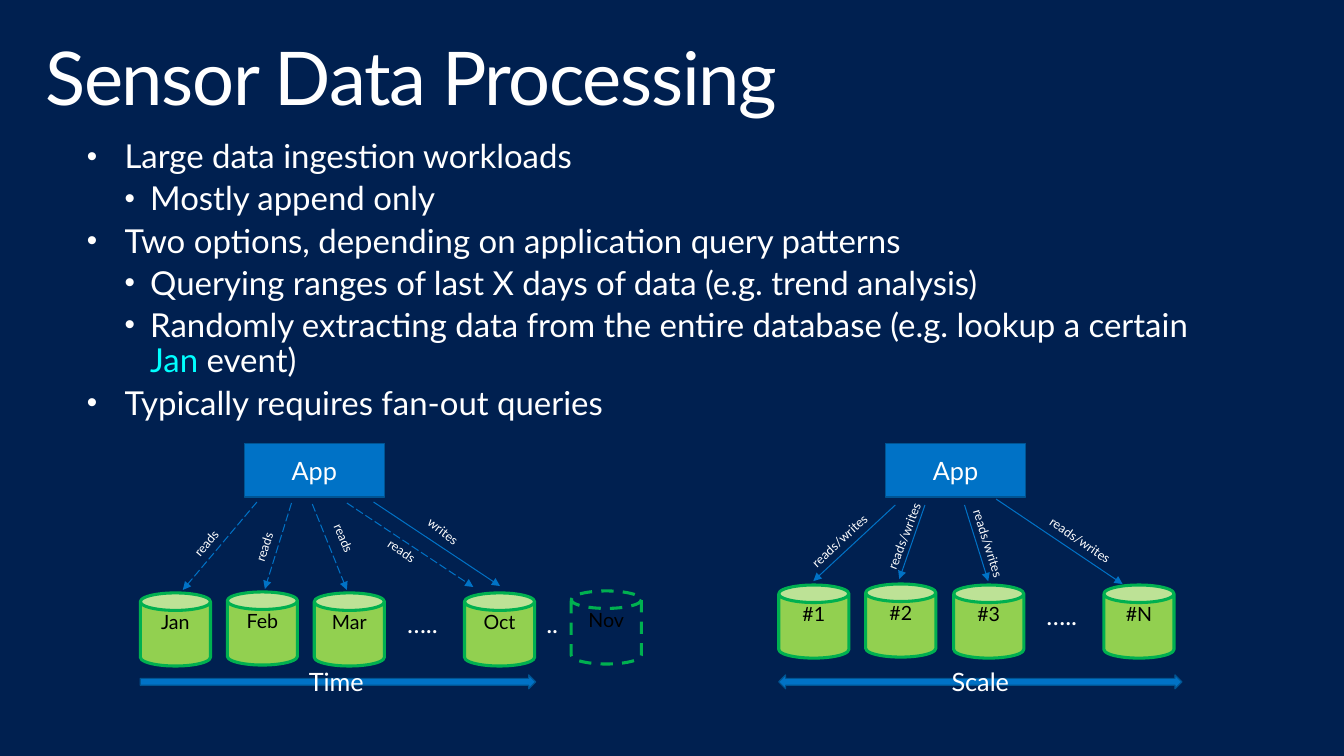
from lxml.etree import SubElement
from pptx import Presentation
from pptx.dml.color import RGBColor
from pptx.enum.dml import MSO_LINE
from pptx.enum.shapes import MSO_CONNECTOR, MSO_SHAPE
from pptx.enum.text import MSO_ANCHOR, MSO_AUTO_SIZE, PP_ALIGN
from pptx.oxml.ns import qn
from pptx.util import Inches, Pt

# Content: lengths are in grid cells, 136 columns across the slide
TITLE = "Sensor Data Processing"
BULLETS = [
    (0, [("Large data ingestion workloads", "white")]),
    (1, [("Mostly append only", "white")]),
    (0, [("Two options, depending on application query patterns", "white")]),
    (1, [("Querying ranges of last X days of data (e.g. trend analysis)", "white")]),
    (1, [("Randomly extracting data from the entire database (e.g. lookup a certain ", "white"),
         ("Jan ", "cyan"), ("event)", "white")]),
    (0, [("Typically requires fan-out queries", "white")]),
]
# Stores: name, columns from the panel's left, top row
# Calls: start, tip, dashed, label, label's left and top, label's turn
PANELS = [
    {
        "left": 14.2, "app": 10.5, "dots": [("…..", 26, 61.1), ("..", 40.1, 61.1)],
        "stores": [("Jan", 0, 60), ("Feb", 8.8, 59.9), ("Mar", 17.6, 60),
                   ("Oct", 32.8, 60), ("Nov", 43.6, 59.8)],
        "calls": [
            ((37.8, 50.8), (50.6, 59.3), False, "writes", (42.1, 52.5), 37.2),
            ((35.1, 50.9), (47.9, 59.4), True, "reads", (38.1, 54.6), 34.3),
            ((31.6, 51), (35.1, 59.7), True, "reads", (32.1, 53.4), 66.9),
            ((29.5, 50.9), (26.8, 59.6), True, "reads", (24.1, 53.8), 288.3),
            ((26, 50.8), (18.5, 59.7), True, "reads", (18.3, 53.5), 310.2),
        ],
        "axis": ("Time", MSO_SHAPE.RIGHT_ARROW, 40),
    },
    {
        "left": 78.8, "app": 10.8, "dots": [("…..", 26.1, 60.2)],
        "stores": [("#1", 0, 59.2), ("#2", 8.8, 59.1), ("#3", 17.7, 59.2), ("#N", 32.9, 59.2)],
        "calls": [
            ((100.8, 50.5), (113.6, 59.1), False, "reads/writes", (104.6, 53.9), 34.6),
            ((97.6, 51.1), (100, 58.8), False, "reads/writes", (94.8, 54.6), 72.4),
            ((93.6, 51.1), (91, 58.6), False, "reads/writes", (86.4, 52.1), 291),
            ((90.6, 51.1), (82.3, 58.8), False, "reads/writes", (80.2, 52.8), 317.3),
        ],
        "axis": ("Scale", MSO_SHAPE.LEFT_RIGHT_ARROW, 40.8),
    },
]
PLANNED_STORE = "Nov"
LABEL_WIDTH = {"writes": 5.5, "reads": 5.5, "reads/writes": 10.9}

COLORS = {"navy": "002050", "white": "FFFFFF", "cyan": "00FFFF", "black": "000000",
          "blue": "0072C6", "edge": "005492", "lime": "92D050", "green": "00B050"}
FONT = "Lato"
PLACEHOLDER_INSETS = {"margin_left": 0.16, "margin_right": 0.16,
                      "margin_top": 0.1, "margin_bottom": 0.1}
# The deep lower inset lifts the name towards the lid
STORE_INSETS = {"margin_left": 0, "margin_right": 0, "margin_top": 0.05, "margin_bottom": 0.29}
LABEL_INSETS = {"margin_left": 0.1, "margin_right": 0.05, "margin_top": 0.05, "margin_bottom": 0.05}
BULLET_INDENT = [(0.38, -0.38), (0.64, -0.26)]

deck = Presentation()
deck.slide_width, deck.slide_height = Inches(13.6), Inches(7.65)
CELL = deck.slide_width / 136


def cells(*lengths):
    return [round(length * CELL) for length in lengths]


def color(name):
    return RGBColor.from_string(COLORS[name])


def add_span(para, text, size, tint):
    span = para.add_run()
    span.text = text
    for key, value in {"name": FONT, "size": Pt(size)}.items():
        setattr(span.font, key, value)
    span.font.color.rgb = color(tint)
    return span


def set_frame(frame, insets, **settings):
    formats = {key: Inches(value) for key, value in insets.items()}
    formats.update({"word_wrap": True, "auto_size": MSO_AUTO_SIZE.NONE}, **settings)
    for key, value in formats.items():
        setattr(frame, key, value)


def add_block(kind, place, text, size, fill, edge, weight, tint="white", insets=None):
    block = page.shapes.add_shape(kind, *cells(*place))
    block.shadow.inherit = False
    if fill:
        block.fill.solid()
        block.fill.fore_color.rgb = color(fill)
    else:
        block.fill.background()
    block.line.color.rgb = color(edge)
    block.line.width = Pt(weight)
    set_frame(block.text_frame, insets or {}, vertical_anchor=MSO_ANCHOR.MIDDLE)
    para = block.text_frame.paragraphs[0]
    para.alignment = PP_ALIGN.CENTER
    add_span(para, text, size, tint)
    return block


def add_label(place, text, size, turn=0):
    box = page.shapes.add_textbox(*cells(*place))
    box.rotation = turn
    set_frame(box.text_frame, LABEL_INSETS)
    add_span(box.text_frame.paragraphs[0], text, size, "white")


def add_call(start, tip, dashed):
    arrow = page.shapes.add_connector(MSO_CONNECTOR.STRAIGHT, *cells(*start, *tip))
    arrow.line.color.rgb = color("blue")
    arrow.line.width = Pt(0.75)
    if dashed:
        arrow.line.dash_style = MSO_LINE.LONG_DASH
    SubElement(arrow.line._get_or_add_ln(), qn("a:tailEnd"), type="triangle")
    SubElement(arrow._element.spPr, qn("a:effectLst"))


def move(shape, *place):
    shape.left, shape.top, shape.width, shape.height = cells(*place)


# Page, title and bullet list
page = deck.slides.add_slide(deck.slide_layouts[1])
page.background.fill.solid()
page.background.fill.fore_color.rgb = color("navy")

title, body = page.shapes.title, page.placeholders[1]
move(title, 3, 3.2, 130, 10)
set_frame(title.text_frame, PLACEHOLDER_INSETS, vertical_anchor=MSO_ANCHOR.TOP)
heading = title.text_frame.paragraphs[0]
heading.alignment, heading.line_spacing = PP_ALIGN.LEFT, 0.9
add_span(heading, TITLE, 54, "white").font._element.set("spc", "-100")

move(body, 7.2, 13.2, 117.3, 49.6)
set_frame(body.text_frame, PLACEHOLDER_INSETS, vertical_anchor=MSO_ANCHOR.TOP)
for index, (level, spans) in enumerate(BULLETS):
    para = body.text_frame.add_paragraph() if index else body.text_frame.paragraphs[0]
    for key, value in {"level": level, "line_spacing": 0.9, "space_before": Pt(4.8)}.items():
        setattr(para, key, value)
    properties = para._element.get_or_add_pPr()
    for key, value in zip(("marL", "indent"), BULLET_INDENT[level]):
        properties.set(key, str(Inches(value)))
    SubElement(properties, qn("a:buSzPct"), val="90000")
    SubElement(properties, qn("a:buFont"), typeface="Arial")
    SubElement(properties, qn("a:buChar"), char="•")
    for text, tint in spans:
        add_span(para, text, 24, tint)

# Diagrams: app, stores, calls and axis in each panel
for panel in PANELS:
    left = panel["left"]
    for name, offset, top in panel["stores"]:
        planned = name == PLANNED_STORE
        store = add_block(MSO_SHAPE.CAN, (left + offset, top, 7.1, 7.4), name, 14.3,
                          None if planned else "lime", "green", 2.25, "black", STORE_INSETS)
        if planned:
            store.line.dash_style = MSO_LINE.DASH
    for text, offset, top in panel["dots"]:
        add_label((left + offset, top, 5.5, 4.2), text, 18.4)
    add_block(MSO_SHAPE.RECTANGLE, (left + panel["app"], 44.9, 14.2, 5.4), "App", 18.4,
              "blue", "edge", 0.85)
    for start, tip, dashed, text, corner, turn in panel["calls"]:
        add_call(start, tip, dashed)
        add_label((*corner, LABEL_WIDTH[text], 2.6), text, 9.2, turn)
    text, kind, width = panel["axis"]
    add_block(kind, (left, 68.3, width, 1.4), text, 18.4, "blue", "edge", 0.85)

deck.save("out.pptx")
